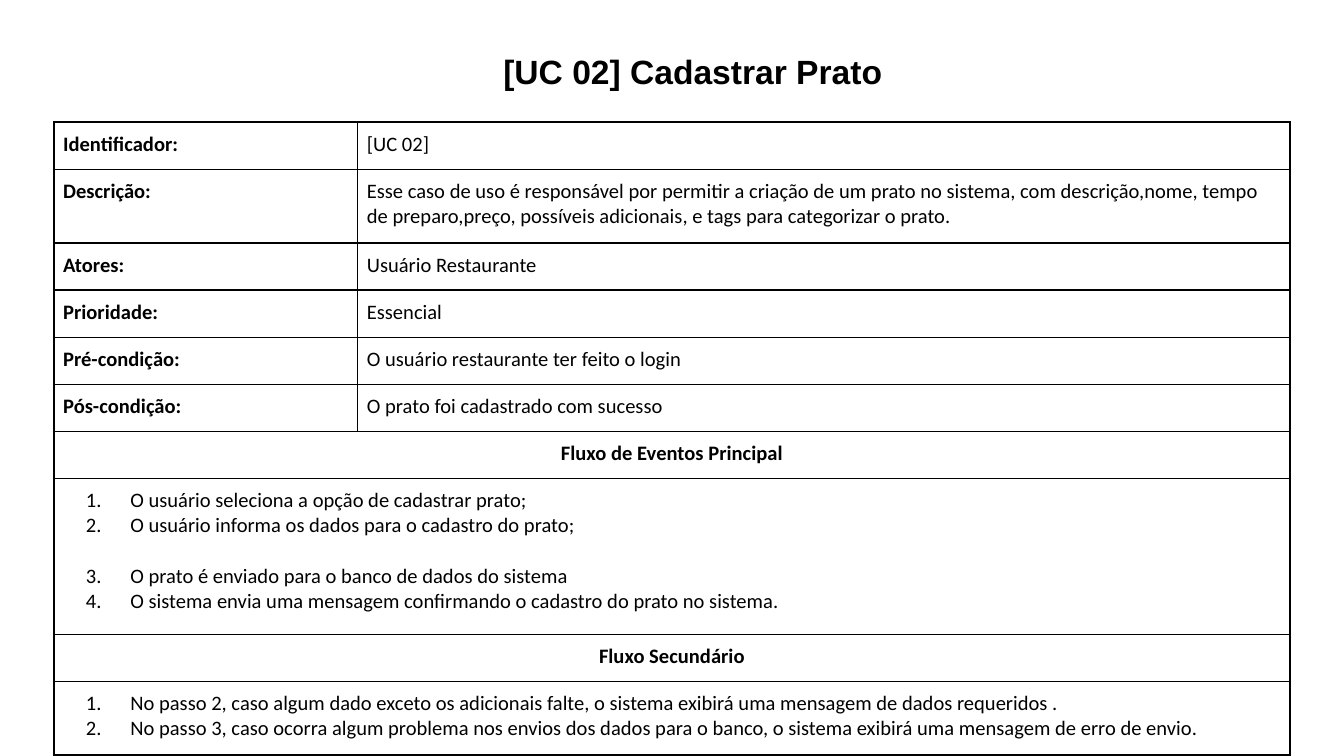
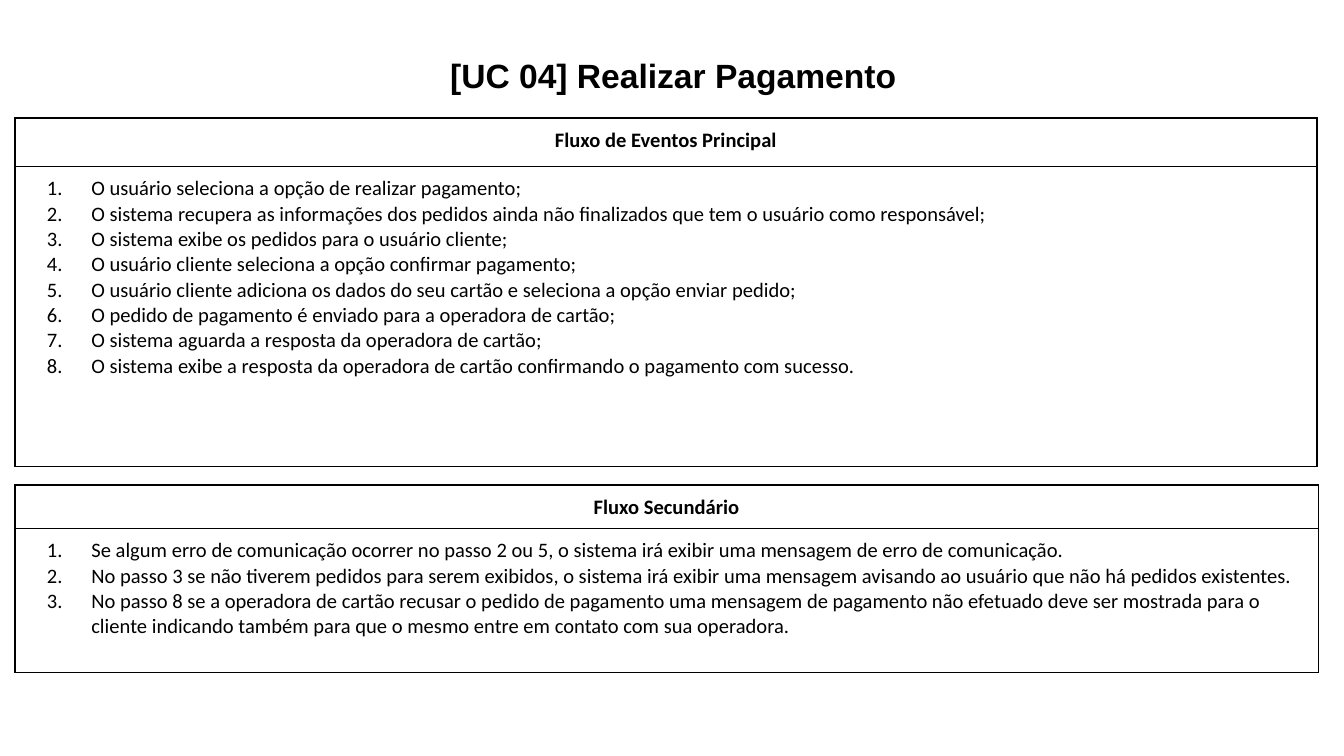
from dataclasses import dataclass

from lxml.etree import SubElement
from pptx import Presentation
from pptx.dml.color import RGBColor
from pptx.enum.text import MSO_ANCHOR, PP_ALIGN
from pptx.oxml.ns import qn
from pptx.slide import Slide
from pptx.table import _Cell as Cell
from pptx.text.text import TextFrame
from pptx.util import Emu, Inches, Pt

BLACK = RGBColor(0x00, 0x00, 0x00)
TITLE_FONT, BODY_FONT = "Arial", "Calibri"
TITLE_SIZE, BODY_SIZE = 18, 11

# The slide is a 16:9 grid of square units: 100 columns by 56.25 rows.
COLUMNS, ROWS = 100, 56.25
UNIT = Inches(10) / COLUMNS
ONE_LINE, TWO_LINES = 3.5, 5.5
CELL_INSET, TITLE_INSET = 0.7, 1
STEP_INDENT, STEP_HANGING = 5, 3.3
STEP_BREAK = 13.5


def units(count: float) -> Emu:
    return Emu(round(count * UNIT))


@dataclass(frozen=True)
class Box:
    left: float
    top: float
    width: float
    height: float


@dataclass(frozen=True)
class Field:
    label: str
    value: str
    height: float = ONE_LINE


@dataclass(frozen=True)
class Flow:
    """A heading row above a row of numbered steps; break_before leaves a gap above that step."""
    heading: str
    steps: tuple[str, ...]
    steps_height: float
    heading_height: float = ONE_LINE
    break_before: int = 0


@dataclass(frozen=True)
class UseCaseTable:
    left: float
    top: float
    columns: tuple[float, float]
    rows: tuple[Field | Flow, ...]


@dataclass(frozen=True)
class UseCase:
    title: str
    title_box: Box
    tables: tuple[UseCaseTable, ...]


REGISTER_DISH = UseCase(
    "[UC 02] Cadastrar Prato",
    Box(3.1, 0, 96.9, 9.1),
    (UseCaseTable(4, 9.1, (22.6, 69.4), (
        Field("Identificador:", "[UC 02]"),
        Field("Descrição:",
              "Esse caso de uso é responsável por permitir a criação de um prato no sistema, "
              "com descrição,nome, tempo de preparo,preço, possíveis adicionais, e tags para "
              "categorizar o prato.", TWO_LINES),
        Field("Atores:", "Usuário Restaurante"),
        Field("Prioridade:", "Essencial"),
        Field("Pré-condição:", "O usuário restaurante ter feito o login"),
        Field("Pós-condição:", "O prato foi cadastrado com sucesso"),
        Flow("Fluxo de Eventos Principal", (
            "O usuário seleciona a opção de cadastrar prato;",
            "O usuário informa os dados para o cadastro do prato;",
            "O prato é enviado para o banco de dados do sistema",
            "O sistema envia uma mensagem confirmando o cadastro do prato no sistema.",
        ), 11.6, break_before=3),
        Flow("Fluxo Secundário", (
            "No passo 2, caso algum dado exceto os adicionais falte, o sistema exibirá uma "
            "mensagem de dados requeridos .",
            "No passo 3, caso ocorra algum problema nos envios dos dados para o banco, o "
            "sistema exibirá uma mensagem de erro de envio.",
        ), TWO_LINES),
    )),),
)

MAKE_PAYMENT = UseCase(
    "[UC 04] Realizar Pagamento",
    Box(1.1, 1.7, 98, 6.3),
    (
        UseCaseTable(1.1, 36.1, (19.8, 77.2), (
            Flow("Fluxo Secundário", (
                "Se algum erro de comunicação ocorrer no passo 2 ou 5, o sistema irá exibir uma "
                "mensagem de erro de comunicação.",
                "No passo 3 se não tiverem pedidos para serem exibidos, o sistema irá exibir uma "
                "mensagem avisando ao usuário que não há pedidos existentes.",
                "No passo 8 se a operadora de cartão recusar o pedido de pagamento uma mensagem "
                "de pagamento não efetuado deve ser mostrada para o cliente indicando também "
                "para que o mesmo entre em contato com sua operadora.",
            ), 10.7, heading_height=2.4),
        )),
        UseCaseTable(1.1, 8.8, (23.8, 73.1), (
            Flow("Fluxo de Eventos Principal", (
                "O usuário seleciona a opção de realizar pagamento;",
                "O sistema recupera as informações dos pedidos ainda não finalizados que tem o "
                "usuário como responsável;",
                "O sistema exibe os pedidos para o usuário cliente;",
                "O usuário cliente seleciona a opção confirmar pagamento;",
                "O usuário cliente adiciona os dados do seu cartão e seleciona a opção enviar "
                "pedido;",
                "O pedido de pagamento é enviado para a operadora de cartão;",
                "O sistema aguarda a resposta da operadora de cartão;",
                "O sistema exibe a resposta da operadora de cartão confirmando o pagamento com "
                "sucesso.",
            ), 22.3, heading_height=3.6),
        )),
    ),
)


def write(frame: TextFrame, *lines: str, font: str = BODY_FONT, size: float = BODY_SIZE,
          bold: bool = False, align: PP_ALIGN = PP_ALIGN.LEFT, spacing: float = 1,
          numbered: bool = False, break_before: int = 0) -> None:
    for number, line in enumerate(lines, start=1):
        paragraph = frame.paragraphs[0] if number == 1 else frame.add_paragraph()
        paragraph.alignment = align
        paragraph.line_spacing = spacing
        paragraph.space_before = Pt(STEP_BREAK if number == break_before else 0)
        run = paragraph.add_run()
        run.text = line
        run.font.name = font
        run.font.size = Pt(size)
        run.font.bold = bold
        run.font.color.rgb = BLACK
        if numbered:
            number_paragraph(paragraph._p.get_or_add_pPr())


def number_paragraph(properties) -> None:
    properties.set("marL", str(units(STEP_INDENT)))
    properties.set("indent", str(-units(STEP_HANGING)))
    colour = SubElement(properties, qn("a:buClr"))
    SubElement(colour, qn("a:srgbClr"), val=str(BLACK))
    SubElement(properties, qn("a:buFont"), typeface=BODY_FONT)
    SubElement(properties, qn("a:buAutoNum"), type="arabicPeriod")


def style_cell(cell: Cell) -> None:
    """Gives a cell its insets and black one-point borders, with no fill."""
    cell.margin_left = cell.margin_right = units(CELL_INSET)
    cell.margin_top = cell.margin_bottom = units(CELL_INSET)
    properties = cell._tc.get_or_add_tcPr()
    for side in ("lnL", "lnR", "lnT", "lnB"):
        border = SubElement(properties, qn(f"a:{side}"), w=str(Pt(1)))
        fill = SubElement(border, qn("a:solidFill"))
        SubElement(fill, qn("a:srgbClr"), val=str(BLACK))
    cell.fill.background()


def add_title(slide: Slide, text: str, box: Box) -> None:
    title = slide.shapes.add_textbox(units(box.left), units(box.top),
                                     units(box.width), units(box.height))
    frame = title.text_frame
    frame.word_wrap = True
    frame.vertical_anchor = MSO_ANCHOR.MIDDLE
    frame.margin_left = frame.margin_right = units(TITLE_INSET)
    frame.margin_top = frame.margin_bottom = units(TITLE_INSET)
    write(frame, text, font=TITLE_FONT, size=TITLE_SIZE, bold=True,
          align=PP_ALIGN.CENTER, spacing=1.5)


def row_heights(rows: tuple[Field | Flow, ...]) -> list[float]:
    heights: list[float] = []
    for row in rows:
        if isinstance(row, Field):
            heights.append(row.height)
        else:
            heights += [row.heading_height, row.steps_height]
    return heights


def add_use_case_table(slide: Slide, layout: UseCaseTable) -> None:
    heights = row_heights(layout.rows)
    table = slide.shapes.add_table(
        len(heights), len(layout.columns), units(layout.left), units(layout.top),
        units(sum(layout.columns)), units(sum(heights))).table
    table.first_row = table.horz_banding = False
    for column, width in zip(table.columns, layout.columns):
        column.width = units(width)
    for table_row, height in zip(table.rows, heights):
        table_row.height = units(height)
    for cell in table.iter_cells():
        style_cell(cell)

    index = 0
    for row in layout.rows:
        if isinstance(row, Field):
            write(table.cell(index, 0).text_frame, row.label, bold=True)
            write(table.cell(index, 1).text_frame, row.value)
            index += 1
            continue
        heading, steps = table.cell(index, 0), table.cell(index + 1, 0)
        heading.merge(table.cell(index, 1))
        steps.merge(table.cell(index + 1, 1))
        write(heading.text_frame, row.heading, bold=True, align=PP_ALIGN.CENTER)
        write(steps.text_frame, *row.steps, numbered=True, break_before=row.break_before)
        index += 2


def main() -> None:
    deck = Presentation()
    deck.slide_width, deck.slide_height = units(COLUMNS), units(ROWS)
    blank = deck.slide_layouts[6]
    for use_case in (REGISTER_DISH, MAKE_PAYMENT):
        slide = deck.slides.add_slide(blank)
        add_title(slide, use_case.title, use_case.title_box)
        for layout in use_case.tables:
            add_use_case_table(slide, layout)
    deck.save("out.pptx")


if __name__ == "__main__":
    main()
